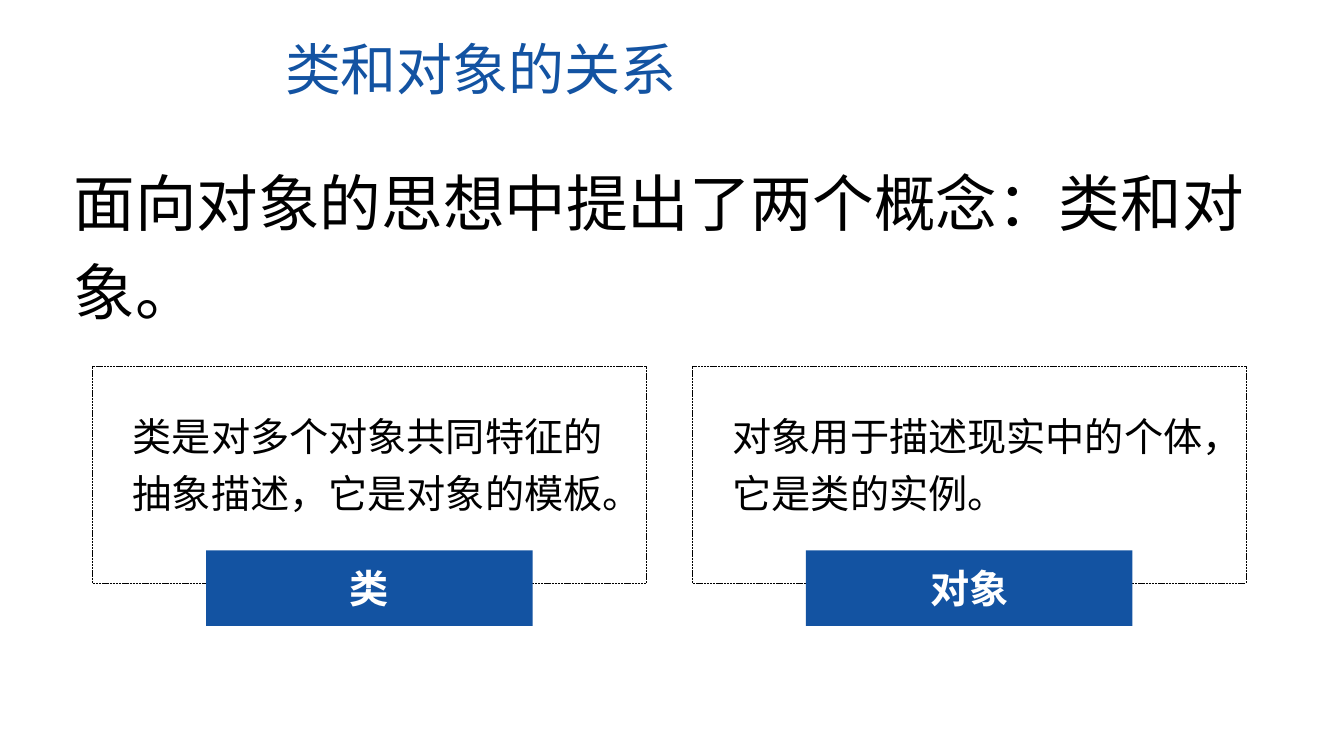
from dataclasses import dataclass

from lxml.etree import SubElement
from pptx import Presentation
from pptx.dml.color import RGBColor
from pptx.enum.dml import MSO_LINE
from pptx.enum.shapes import MSO_SHAPE
from pptx.enum.text import MSO_ANCHOR, PP_ALIGN
from pptx.oxml.ns import qn
from pptx.shapes.autoshape import Shape
from pptx.util import Pt

FONT = "Noto Sans CJK SC"
BLUE, BLACK, WHITE = "1353A2", "000000", "FFFFFF"


@dataclass(frozen=True)
class Box:
    left: float
    top: float
    width: float
    height: float

    def lengths(self) -> list[Pt]:
        return [Pt(v) for v in (self.left, self.top, self.width, self.height)]


@dataclass(frozen=True)
class Concept:
    name: str
    meaning: str
    left: float


CONCEPTS = [
    Concept("类", "类是对多个对象共同特征的抽象描述，它是对象的模板。", 66.24),
    Concept("对象", "对象用于描述现实中的个体，它是类的实例。", 494.64),
]
PANEL_TOP, PANEL_WIDTH, PANEL_HEIGHT = 261.4, 395.3, 155.5
LABEL_TOP, LABEL_WIDTH, LABEL_HEIGHT = 393.1, 233.3, 54
MEANING_TOP, MEANING_WIDTH, MEANING_HEIGHT = 284.4, 352, 88.6
MEANING_INDENT = 21.6

presentation = Presentation()
presentation.slide_width, presentation.slide_height = Pt(960), Pt(540)
slide = presentation.slides.add_slide(presentation.slide_layouts[6])


def color(value: str) -> RGBColor:
    return RGBColor.from_string(value)


def write(shape: Shape, text: str, size: float, ink: str,
          bold: bool = False, **paragraph_format) -> None:
    shape.text_frame.word_wrap = True
    paragraph = shape.text_frame.paragraphs[0]
    for attribute, value in paragraph_format.items():
        setattr(paragraph, attribute, value)
    run = paragraph.add_run()
    run.text = text
    font_format = {"name": FONT, "size": Pt(size), "bold": bold}
    for attribute, value in font_format.items():
        setattr(run.font, attribute, value)
    run.font.color.rgb = color(ink)
    # Chinese glyphs take the East Asian typeface
    SubElement(run.font._element, qn("a:ea"), typeface=FONT)


def add_text(box: Box, text: str, size: float, ink: str, **paragraph_format) -> None:
    write(slide.shapes.add_textbox(*box.lengths()), text, size, ink, **paragraph_format)


def add_rectangle(box: Box) -> Shape:
    rectangle = slide.shapes.add_shape(MSO_SHAPE.RECTANGLE, *box.lengths())
    rectangle.shadow.inherit = False
    return rectangle


def add_concept(concept: Concept) -> None:
    # Dashed panel
    panel = add_rectangle(Box(concept.left, PANEL_TOP, PANEL_WIDTH, PANEL_HEIGHT))
    panel.fill.background()
    panel.line.color.rgb = color(BLACK)
    line_format = {"width": Pt(0.5), "dash_style": MSO_LINE.SQUARE_DOT}
    for attribute, value in line_format.items():
        setattr(panel.line, attribute, value)

    # Name label, centred on the panel's lower edge
    label_left = concept.left + (PANEL_WIDTH - LABEL_WIDTH) / 2
    label = add_rectangle(Box(label_left, LABEL_TOP, LABEL_WIDTH, LABEL_HEIGHT))
    label.fill.solid()
    label.fill.fore_color.rgb = color(BLUE)
    label.line.fill.background()
    label.text_frame.vertical_anchor = MSO_ANCHOR.MIDDLE
    write(label, concept.name, 28, WHITE, bold=True, alignment=PP_ALIGN.CENTER)

    # Meaning
    meaning_box = Box(concept.left + MEANING_INDENT, MEANING_TOP, MEANING_WIDTH, MEANING_HEIGHT)
    add_text(meaning_box, concept.meaning, 28, BLACK, line_spacing=1.2)


# Title and introduction
add_text(Box(196.5, 20.9, 423.4, 55.4), "类和对象的关系", 40, BLUE)
add_text(Box(45.4, 103.7, 884.9, 128.9), "面向对象的思想中提出了两个概念：类和对象。",
         44, BLACK, line_spacing=1.2)

# The two concepts
for concept in CONCEPTS:
    add_concept(concept)

presentation.save("out.pptx")
